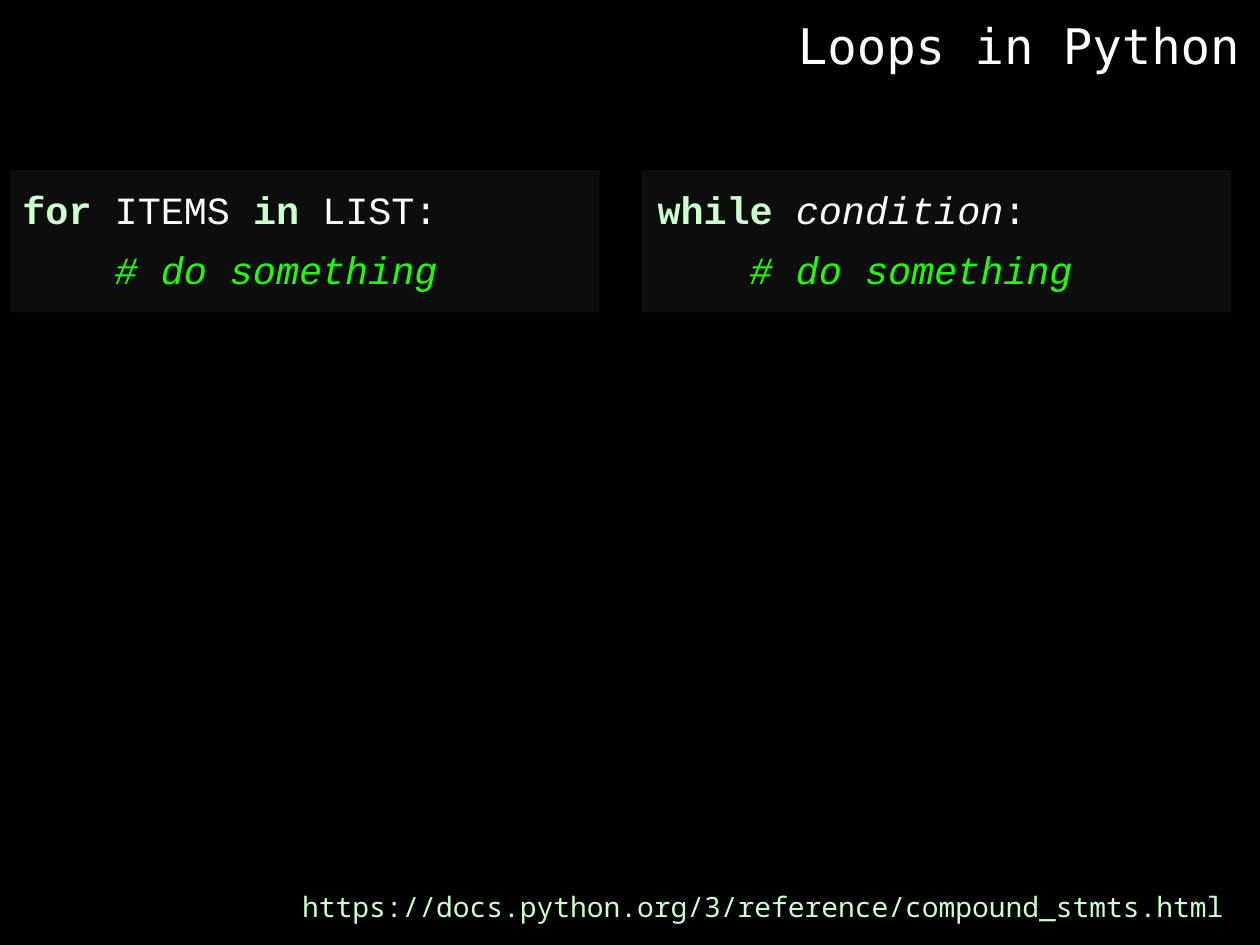
"""Build a slide that shows the two loop statements of Python."""
import pptx
import pptx.dml.color
import pptx.enum.shapes
import pptx.enum.text
import pptx.util

Inches = pptx.util.Inches
WHITE, MINT, GREEN, PANEL, BLACK = "FFFFFF", "CCFFCC", "1DFF00", "0D0D0D", "000000"
CODE_FONT = "Courier New"


def paint(color_format, color):
    """Give a colour format the colour of a hex string."""
    color_format.rgb = pptx.dml.color.RGBColor.from_string(color)


def fill_solid(fill, color):
    """Fill with one plain colour."""
    fill.solid()
    paint(fill.fore_color, color)


def add_span(para, text, size=22, font=CODE_FONT, color=WHITE, bold=False, italic=False):
    """Add formatted text to a paragraph."""
    span = para.add_run()
    span.text = text
    span.font.size = pptx.util.Pt(size)
    span.font.name = font
    span.font.bold = bold
    span.font.italic = italic
    paint(span.font.color, color)


def prepare_frame(shape):
    """Make the text of a shape wrap and start at its top."""
    frame = shape.text_frame
    frame.word_wrap = True
    frame.auto_size = pptx.enum.text.MSO_AUTO_SIZE.NONE
    frame.vertical_anchor = pptx.enum.text.MSO_ANCHOR.TOP
    return frame


def place_title(page, left, top, width, height):
    """Place the title placeholder and write the heading."""
    title = page.shapes.title
    title.left, title.top, title.width, title.height = left, top, width, height
    para = prepare_frame(title).paragraphs[0]
    para.alignment = pptx.enum.text.PP_ALIGN.RIGHT
    add_span(para, "Loops in Python", size=28, font="DejaVu Sans Mono")


def add_code_panel(page, left, top, width, height, lines, indent=0):
    """Draw a dark panel with lines of code on it."""
    panel = page.shapes.add_shape(
        pptx.enum.shapes.MSO_SHAPE.RECTANGLE, left, top, width, height)
    panel.shadow.inherit = False
    panel.line.fill.background()
    fill_solid(panel.fill, PANEL)

    box = page.shapes.add_textbox(
        left + indent, top - Inches(0.03), Inches(4.01), Inches(1.53))
    frame = prepare_frame(box)
    for number, line in enumerate(lines):
        para = frame.add_paragraph() if number else frame.paragraphs[0]
        para.line_spacing = 1.3
        for text, style in line:
            add_span(para, text, **style)


def add_link(page, left, top, width, height):
    """Write the address of the reference page."""
    box = page.shapes.add_textbox(left, top, width, height)
    add_span(prepare_frame(box).paragraphs[0],
             "https://docs.python.org/3/reference/compound_stmts.html",
             size=16, font="Noto Sans Mono", color=MINT)


def main():
    """Build and save the deck."""
    deck = pptx.Presentation()
    deck.slide_width, deck.slide_height = Inches(10), Inches(7.5)
    page = deck.slides.add_slide(deck.slide_layouts[5])
    fill_solid(page.background.fill, BLACK)

    keyword = {"color": MINT, "bold": True}
    comment = [("    # do something", {"color": GREEN, "italic": True})]
    for_loop = [("for ", keyword), ("ITEMS ", {}), ("in ", keyword), ("LIST:", {})]
    while_loop = [("while ", keyword), ("condition", {"italic": True}), (":", {})]

    place_title(page, Inches(6.2), Inches(0.07), Inches(3.74), Inches(0.57))
    panel_size = Inches(1.35), Inches(4.68), Inches(1.13)
    add_code_panel(page, Inches(0.08), *panel_size, [for_loop, comment])
    add_code_panel(page, Inches(5.09), *panel_size, [while_loop, comment],
                   indent=Inches(0.03))
    add_link(page, Inches(2.3), Inches(7.01), Inches(7.64), Inches(0.37))
    deck.save("out.pptx")


if __name__ == "__main__":
    main()
